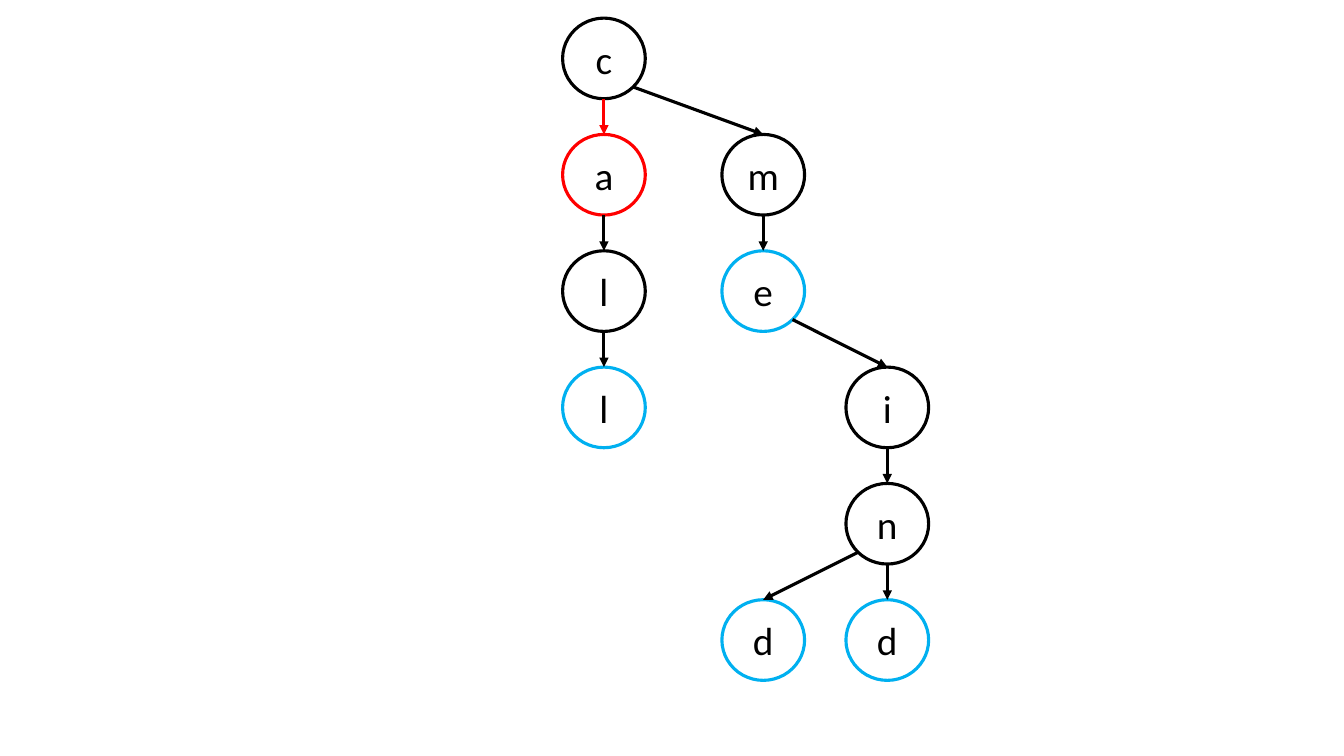
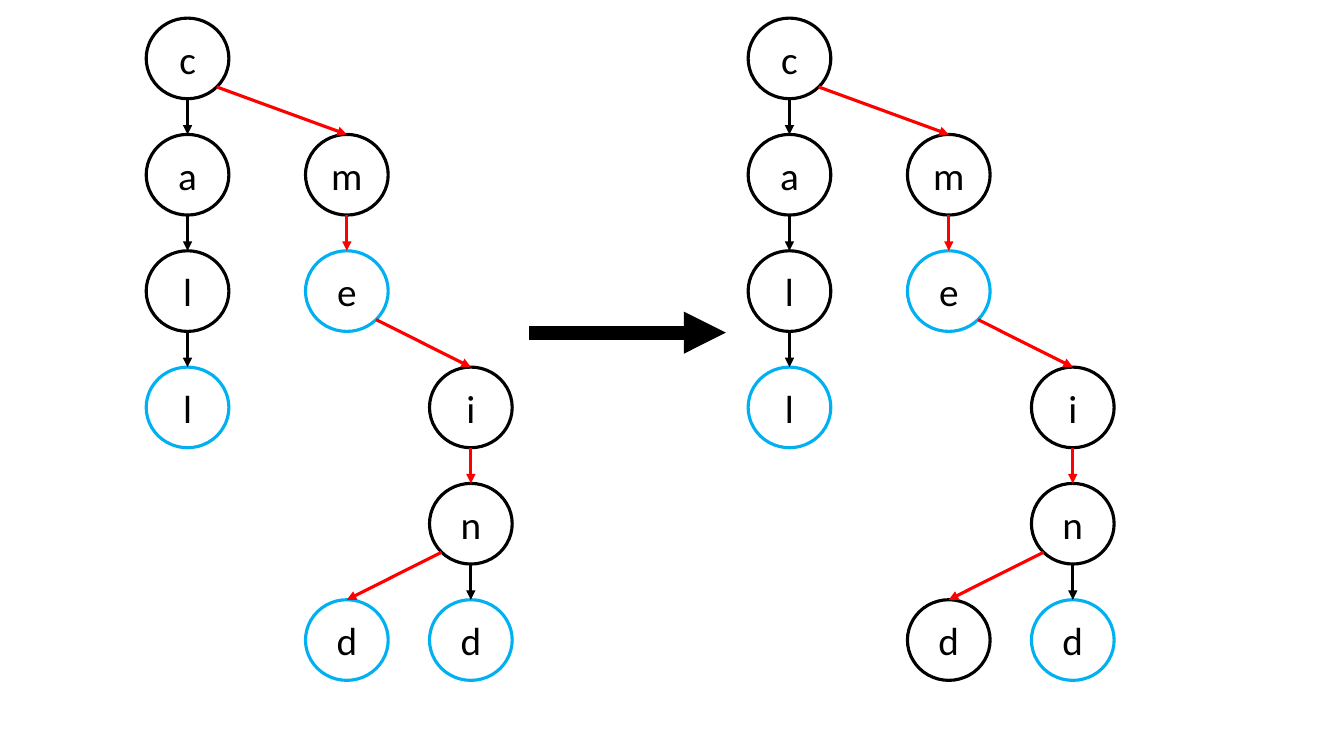
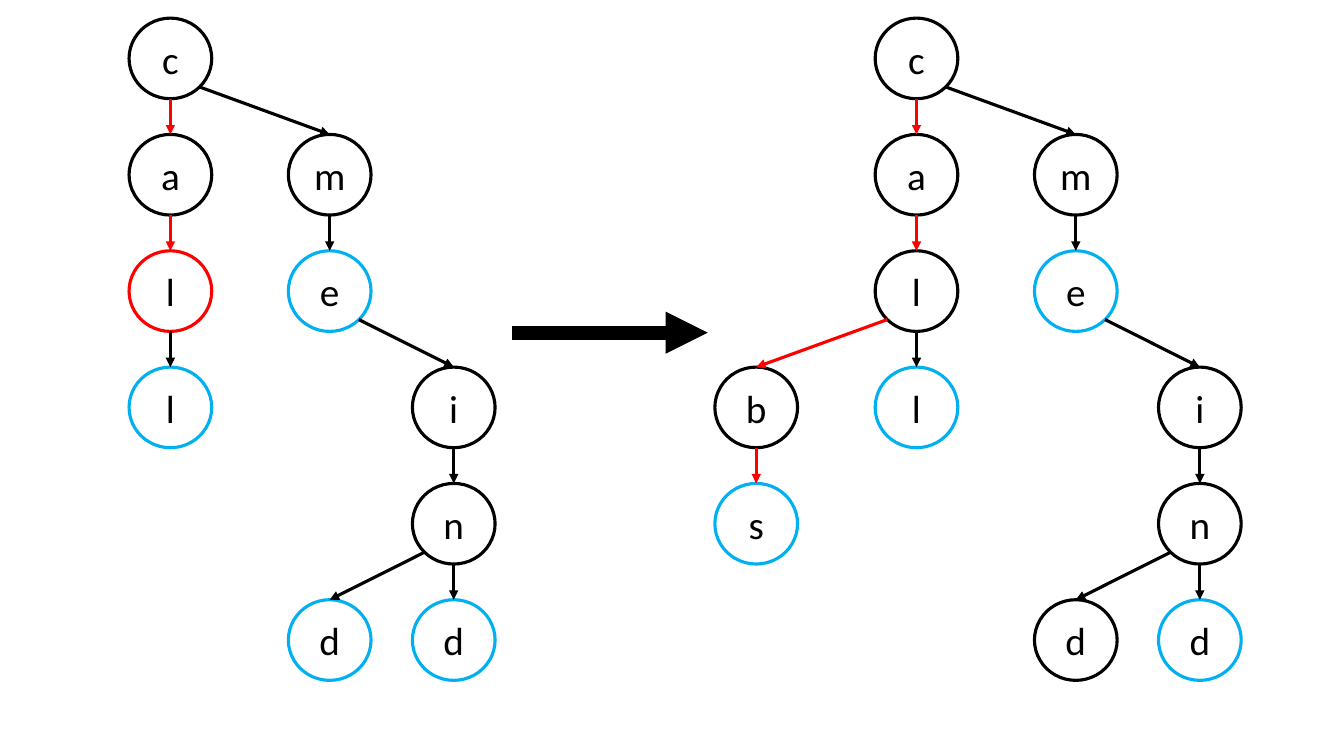
"""Build three slides that show searching, deleting and inserting words in a trie."""
import math
from dataclasses import dataclass

import pptx
import pptx.dml.color
import pptx.enum.shapes
import pptx.enum.text
import pptx.oxml.ns
import pptx.util
from lxml import etree

Inches = pptx.util.Inches
qn = pptx.oxml.ns.qn


@dataclass(frozen=True)
class Theme:
    font: str = "Calibri"
    letter_size: float = 28
    line_width: float = 2.25
    step_width: float = 10
    black: str = "000000"
    red: str = "FF0000"
    blue: str = "00B0F0"


theme = Theme()

NODE_W, NODE_H = 0.82, 0.8
FIRST_ROW, LAST_ROW = 0.18, 5.95
ROW_PITCH = (LAST_ROW - FIRST_ROW) / 5
COLUMNS = {"new": -1.59, "left": 0, "middle": 1.58, "right": 2.81}
SITE_TOP, SITE_BOTTOM_LEFT, SITE_BOTTOM, SITE_BOTTOM_RIGHT = 0, 3, 4, 5

WORDS = [
    ("c", "c", "left", 0, None),
    ("a", "a", "left", 1, "c"),
    ("l", "l", "left", 2, "a"),
    ("call", "l", "left", 3, "l"),
    ("m", "m", "middle", 1, "c"),
    ("me", "e", "middle", 2, "m"),
    ("i", "i", "right", 3, "me"),
    ("n", "n", "right", 4, "i"),
    ("mind", "d", "middle", 5, "n"),
    ("find", "d", "right", 5, "n"),
]
INSERTED = [("b", "b", "new", 3, "l"), ("s", "s", "new", 4, "b")]

ENDS = {"call", "me", "mind", "find"}
DELETED_PATH = {"m", "me", "i", "n", "mind"}

SLIDES = [
    {
        "step": None,
        "trees": [(5.58, WORDS, ENDS, {"a"}, {"a"})],
    },
    {
        "step": (5.25, 7.2),
        "trees": [
            (1.45, WORDS, ENDS, set(), DELETED_PATH),
            (7.42, WORDS, ENDS - {"mind"}, set(), DELETED_PATH),
        ],
    },
    {
        "step": (5.08, 7.02),
        "trees": [
            (1.28, WORDS, ENDS, {"l"}, {"a", "l"}),
            (8.68, WORDS + INSERTED, ENDS - {"mind"} | {"s"}, set(), {"a", "l", "b", "s"}),
        ],
    },
]


def add_arrow(s, x1, y1, x2, y2, color, width):
    """Draw a straight arrow between two points given in inches."""
    cxn = s.shapes.add_connector(
        pptx.enum.shapes.MSO_CONNECTOR.STRAIGHT, Inches(x1), Inches(y1), Inches(x2), Inches(y2)
    )
    cxn.line.color.rgb = pptx.dml.color.RGBColor.from_string(color)
    cxn.line.width = pptx.util.Pt(width)
    etree.SubElement(cxn.line._get_or_add_ln(), qn("a:tailEnd"), type="triangle")
    etree.SubElement(cxn._element.spPr, qn("a:effectLst"))
    return cxn


def add_node(s, x, y, letter, color):
    """Draw one lettered circle with its corner at x, y in inches."""
    sp = s.shapes.add_shape(
        pptx.enum.shapes.MSO_SHAPE.OVAL, Inches(x), Inches(y), Inches(NODE_W), Inches(NODE_H)
    )
    sp.shadow.inherit = False
    sp.fill.background()
    sp.line.color.rgb = pptx.dml.color.RGBColor.from_string(color)
    sp.line.width = pptx.util.Pt(theme.line_width)
    tf = sp.text_frame
    tf.vertical_anchor = pptx.enum.text.MSO_ANCHOR.MIDDLE
    p = tf.paragraphs[0]
    p.text = letter
    p.alignment = pptx.enum.text.PP_ALIGN.CENTER
    p.font.name = theme.font
    p.font.size = pptx.util.Pt(theme.letter_size)
    p.font.color.rgb = pptx.dml.color.RGBColor.from_string(theme.black)
    return sp


prs = pptx.Presentation()
prs.slide_width = Inches(13.33)
prs.slide_height = Inches(7.5)

for slide in SLIDES:
    s = prs.slides.add_slide(prs.slide_layouts[6])
    for left, nodes, ends, red_nodes, red_edges in slide["trees"]:
        placed = {}
        for key, letter, column, row, parent in nodes:
            x = left + COLUMNS[column]
            y = FIRST_ROW + row * ROW_PITCH
            color = theme.red if key in red_nodes else theme.blue if key in ends else theme.black
            sp = add_node(s, x, y, letter, color)
            placed[key] = (sp, x, y)
            if parent is None:
                continue

            parent_sp, parent_x, parent_y = placed[parent]
            if x == parent_x:
                site, side, drop = SITE_BOTTOM, 0, 1
            else:
                site = SITE_BOTTOM_RIGHT if x > parent_x else SITE_BOTTOM_LEFT
                drop = math.sqrt(0.5)
                side = math.copysign(drop, x - parent_x)
            cxn = add_arrow(
                s,
                parent_x + NODE_W / 2 * (1 + side),
                parent_y + NODE_H / 2 * (1 + drop),
                x + NODE_W / 2,
                y,
                theme.red if key in red_edges else theme.black,
                theme.line_width,
            )
            etree.SubElement(
                cxn._element.nvCxnSpPr.cNvCxnSpPr,
                qn("a:stCxn"),
                id=str(parent_sp.shape_id),
                idx=str(site),
            )
            cxn.end_connect(sp, SITE_TOP)

    if slide["step"]:
        start, end = slide["step"]
        add_arrow(s, start, 3.3, end, 3.3, theme.black, theme.step_width)

prs.save("out.pptx")
